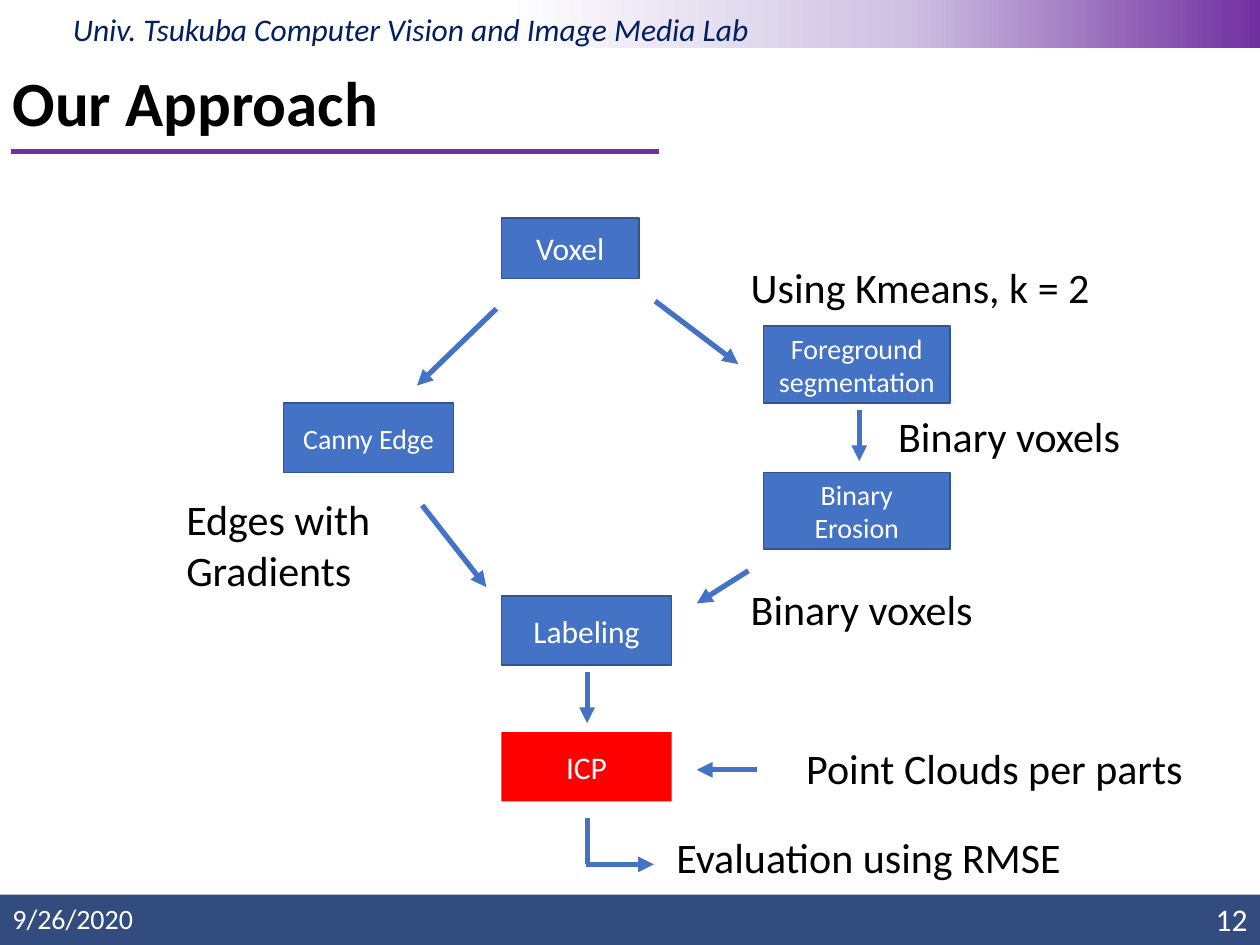
from copy import deepcopy

from lxml.etree import SubElement
from pptx import Presentation
from pptx.dml.color import RGBColor
from pptx.enum.shapes import MSO_CONNECTOR, MSO_SHAPE
from pptx.enum.text import MSO_ANCHOR, MSO_AUTO_SIZE, PP_ALIGN
from pptx.oxml.ns import qn
from pptx.util import Inches, Pt

FONT = "Calibri"
BLUE, NAVY, PURPLE = "4472C4", "002060", "7030A0"
RED, WHITE, BLACK, OUTLINE = "FF0000", "FFFFFF", "000000", "325491"


def color(value):
    return RGBColor.from_string(value)


class SlideBuilder:
    def __init__(self, slide):
        self.slide = slide
        self.shapes = slide.shapes

    def add_lines(self, frame, lines, size, ink, align=PP_ALIGN.LEFT, bold=False, italic=False):
        for index, line in enumerate(lines):
            para = frame.add_paragraph() if index else frame.paragraphs[0]
            para.alignment = align
            span = para.add_run()
            span.text = line
            span.font.name = FONT
            span.font.size = Pt(size)
            span.font.bold = bold
            span.font.italic = italic
            span.font.color.rgb = color(ink)

    def title(self, text, left, top, width, height):
        title = self.shapes.title
        title.left, title.top = Inches(left), Inches(top)
        title.width, title.height = Inches(width), Inches(height)
        frame = title.text_frame
        frame.auto_size = MSO_AUTO_SIZE.NONE
        frame.vertical_anchor = MSO_ANCHOR.MIDDLE
        self.add_lines(frame, [text], 36, BLACK, bold=True)
        frame.paragraphs[0].line_spacing = 0.9

    def rectangle(self, left, top, width, height, fill, outline=None):
        box = self.shapes.add_shape(
            MSO_SHAPE.RECTANGLE, Inches(left), Inches(top), Inches(width), Inches(height))
        box.shadow.inherit = False
        box.fill.solid()
        box.fill.fore_color.rgb = color(fill)
        if outline:
            box.line.color.rgb = color(outline)
            box.line.width = Pt(1)
        else:
            box.line.fill.background()
        return box

    def translucent_band(self, left, top, width, height, fill, opacity):
        band = self.rectangle(left, top, width, height, fill)
        tint = band._element.spPr.find(qn("a:solidFill"))[0]
        SubElement(tint, qn("a:alpha")).set("val", str(opacity * 1000))

    def gradient_band(self, left, top, width, height, stops):
        band = self.rectangle(left, top, width, height, WHITE)
        band.fill.gradient()
        band.fill.gradient_angle = 180
        stop_list = band._element.spPr.find(qn("a:gradFill")).find(qn("a:gsLst"))
        while len(stop_list) < len(stops):
            stop_list.append(deepcopy(stop_list[0]))
        for stop, (position, value) in zip(band.fill.gradient_stops, stops):
            stop.position = position
            stop.color.rgb = color(value)

    def step(self, text, left, top, width, height, size, fill=BLUE, outline=OUTLINE):
        box = self.rectangle(left, top, width, height, fill, outline)
        frame = box.text_frame
        frame.word_wrap = True
        frame.vertical_anchor = MSO_ANCHOR.MIDDLE
        self.add_lines(frame, [text], size, WHITE, PP_ALIGN.CENTER)

    def label(self, lines, left, top, width, height, size=24, ink=BLACK,
              wrap=False, anchor=MSO_ANCHOR.TOP, align=PP_ALIGN.LEFT, italic=False):
        box = self.shapes.add_textbox(Inches(left), Inches(top), Inches(width), Inches(height))
        frame = box.text_frame
        frame.word_wrap = wrap
        frame.vertical_anchor = anchor
        self.add_lines(frame, lines, size, ink, align, italic=italic)

    def line(self, start, end, ink=BLUE, arrow=True):
        connector = self.shapes.add_connector(
            MSO_CONNECTOR.STRAIGHT, *(Inches(value) for value in (*start, *end)))
        connector.line.color.rgb = color(ink)
        connector.line.width = Pt(3)
        properties = connector._element.spPr
        if arrow:
            SubElement(properties.find(qn("a:ln")), qn("a:tailEnd")).set("type", "triangle")
        SubElement(properties, qn("a:effectLst"))


def main():
    deck = Presentation()
    deck.slide_width, deck.slide_height = Inches(10), Inches(7.5)
    page = SlideBuilder(deck.slides.add_slide(deck.slide_layouts[5]))

    page.translucent_band(0, 7.1, 10, 0.4, NAVY, 80)
    page.line((0.09, 1.2), (5.23, 1.2), PURPLE, arrow=False)
    page.gradient_band(0, -0.02, 10, 0.4, [(0, PURPLE), (0.28, "CEC1E2"), (0.6, WHITE)])
    page.label(["Univ. Tsukuba Computer Vision and Image Media Lab"],
               0.48, 0.03, 5.64, 0.4, 18, NAVY, italic=True)
    page.title("Our Approach", 0, 0.48, 8.62, 0.72)
    page.label(["9/26/2020"], 0, 7.09, 2.25, 0.4, 16, WHITE, True, MSO_ANCHOR.MIDDLE)
    page.label(["12"], 9.49, 7.09, 0.51, 0.4, 18, WHITE, True, MSO_ANCHOR.MIDDLE, PP_ALIGN.RIGHT)

    center_left, right_left = 3.98, 6.06
    small, large = (1.35, 0.55), (1.48, 0.61)
    page.step("Voxel", center_left, 1.73, 1.09, 0.48, 18)
    page.step("Canny Edge", 2.25, 3.2, *small, 16)
    page.step("Foreground segmentation", right_left, 2.59, *large, 16)
    page.step("Binary Erosion", right_left, 3.75, *large, 16)
    page.step("Labeling", center_left, 4.73, *small, 18)
    page.step("ICP", center_left, 5.81, *small, 18, RED, None)

    arrows = [
        ((3.94, 2.45), (3.31, 3.06)),
        ((5.2, 2.39), (5.86, 2.89)),
        ((6.82, 3.25), (6.82, 3.66)),
        ((5.94, 4.53), (5.53, 4.79)),
        ((3.35, 4.01), (3.86, 4.66)),
        ((4.66, 5.33), (4.66, 5.74)),
        ((6.01, 6.11), (5.53, 6.11)),
        ((4.65, 6.86), (5.19, 6.86)),
    ]
    for start, end in arrows:
        page.line(start, end)
    page.line((4.66, 6.49), (4.66, 6.86), arrow=False)

    labels = [
        (["Using Kmeans, k = 2"], 5.86, 2.03, 2.91, 0.5),
        (["Binary voxels"], 7.03, 3.21, 1.98, 0.5),
        (["Binary voxels"], 5.86, 4.58, 1.98, 0.5),
        (["Edges with", "Gradients"], 1.38, 3.87, 1.75, 0.91),
        (["Point Clouds per parts"], 6.3, 5.84, 3.22, 0.5),
        (["Evaluation using RMSE"], 5.27, 6.55, 3.36, 0.5),
    ]
    for label in labels:
        page.label(*label)

    deck.save("out.pptx")


if __name__ == "__main__":
    main()
